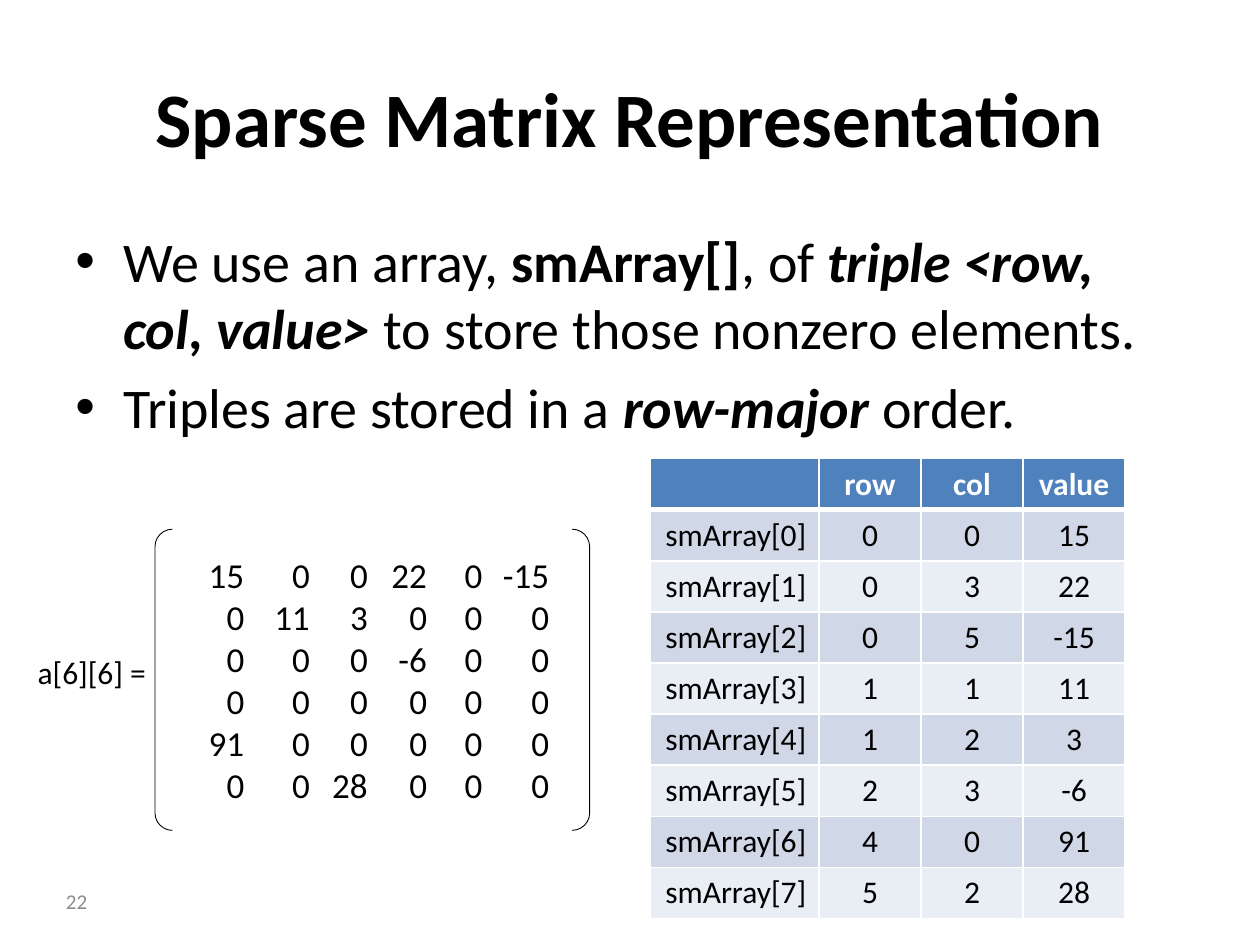
import pptx
import pptx.dml.color
import pptx.enum.shapes
import pptx.enum.text
import pptx.oxml
import pptx.oxml.ns
import pptx.util

Inches, Pt = pptx.util.Inches, pptx.util.Pt
ALIGN = pptx.enum.text.PP_ALIGN
ANCHOR = pptx.enum.text.MSO_ANCHOR
NS = pptx.oxml.ns.nsdecls("a")

MATRIX = [
    [15, 0, 0, 22, 0, -15],
    [0, 11, 3, 0, 0, 0],
    [0, 0, 0, -6, 0, 0],
    [0, 0, 0, 0, 0, 0],
    [91, 0, 0, 0, 0, 0],
    [0, 0, 28, 0, 0, 0],
]
MATRIX_TABS = [0.57, 1.09, 1.55, 2.02, 2.46, 2.99]


def color(value):
    return pptx.dml.color.RGBColor.from_string(value)


def add_xml(parent, xml):
    parent.append(pptx.oxml.parse_xml(xml))


def write(p, text, size=18, fill="000000", font="Calibri", bold=False,
          italic=False, align=None):
    """Add one formatted run to a paragraph."""
    if align is not None:
        p.alignment = align
    r = p.add_run()
    r.text = text
    f = r.font
    f.name, f.size, f.bold, f.italic = font, Pt(size), bold, italic
    f.color.rgb = color(fill)


def set_borders(cell, widths):
    """Draw white cell borders; widths gives points for each of L, R, T, B."""
    tc_pr = cell._tc.get_or_add_tcPr()
    for i, (side, width) in enumerate(zip("LRTB", widths)):
        tc_pr.insert(i, pptx.oxml.parse_xml(
            f'<a:ln{side} {NS} w="{Pt(width)}"><a:solidFill>'
            f'<a:srgbClr val="FFFFFF"/></a:solidFill></a:ln{side}>'))


class Deck:
    black, white = "000000", "FFFFFF"
    header, bands = "4F81BD", ("D0D8E8", "E9EDF4")

    def __init__(self):
        self.prs = pptx.Presentation()
        self.prs.slide_width, self.prs.slide_height = Inches(10), Inches(7.5)
        self.s = self.prs.slides.add_slide(self.prs.slide_layouts[6])

    def box(self, at, anchor=ANCHOR.TOP):
        sp = self.s.shapes.add_textbox(*map(Inches, at))
        tf = sp.text_frame
        tf.word_wrap = True
        tf.vertical_anchor = anchor
        return tf

    def text(self, at, text, anchor=ANCHOR.TOP, **fmt):
        write(self.box(at, anchor).paragraphs[0], text, **fmt)

    def bullets(self, at, items, size):
        tf = self.box(at)
        for i, runs in enumerate(items):
            p = tf.add_paragraph() if i else tf.paragraphs[0]
            pPr = p._p.get_or_add_pPr()
            pPr.set("marL", str(Inches(0.38)))
            pPr.set("indent", str(Inches(-0.38)))
            add_xml(pPr, f'<a:buFont {NS} typeface="Arial"/>')
            add_xml(pPr, f'<a:buChar {NS} char="•"/>')
            if i:
                p.space_before = Pt(0.2 * size)
            for text, fmt in runs:
                write(p, text, size=size, **fmt)

    def matrix(self, at, rows, tabs):
        """Bracketed number grid with columns on right-aligned tab stops."""
        sp = self.s.shapes.add_shape(
            pptx.enum.shapes.MSO_SHAPE.DOUBLE_BRACKET, *map(Inches, at))
        sp.adjustments[0] = 0.058
        sp.shadow.inherit = False
        sp.fill.background()
        sp.line.color.rgb = color(self.black)
        sp.line.width = Pt(0.5)
        tf = sp.text_frame
        tf.word_wrap = True
        tf.vertical_anchor = ANCHOR.MIDDLE
        stops = "".join(f'<a:tab pos="{Inches(t)}" algn="r"/>' for t in tabs)
        for i, row in enumerate(rows):
            p = tf.add_paragraph() if i else tf.paragraphs[0]
            add_xml(p._p.get_or_add_pPr(), f"<a:tabLst {NS}>{stops}</a:tabLst>")
            write(p, "".join(f"\t{n}" for n in row), size=20, align=ALIGN.LEFT)

    def table(self, at, widths, rows):
        t = self.s.shapes.add_table(
            len(rows), len(widths), *map(Inches, at)).table
        for col, width in zip(t.columns, widths):
            col.width = Inches(width)
        for i, row in enumerate(rows):
            t.rows[i].height = Inches(at[3] / len(rows))
            for j, value in enumerate(row):
                cell = t.cell(i, j)
                cell.fill.solid()
                cell.fill.fore_color.rgb = color(
                    self.bands[(i - 1) % 2] if i else self.header)
                set_borders(cell, (1, 1, 3 if i == 1 else 1, 1 if i else 3))
                cell.vertical_anchor = ANCHOR.MIDDLE if j else ANCHOR.TOP
                if value != "":
                    write(cell.text_frame.paragraphs[0], str(value),
                          fill=self.black if i else self.white, bold=not i,
                          align=ALIGN.CENTER if j else ALIGN.RIGHT)


def main():
    deck = Deck()
    deck.text((0.5, 0.3, 9, 1.25), "Sparse Matrix Representation",
              anchor=ANCHOR.MIDDLE, size=44, bold=True, align=ALIGN.CENTER)

    plain, bold = {}, {"bold": True}
    strong = {"bold": True, "italic": True}
    deck.bullets((0.5, 1.75, 9, 1.85), [
        [("We use an array, ", plain), ("smArray[]", bold), (", of ", plain),
         ("triple <row, col, value>", strong),
         (" to store those nonzero elements.", plain)],
        [("Triples are stored in a ", plain), ("row-major", strong),
         (" order.", plain)],
    ], size=32)

    deck.matrix((1.23, 4.2, 3.45, 2.39), MATRIX, MATRIX_TABS)
    deck.text((0.2, 5.13, 1.1, 0.4), "a[6][6] =")

    triples = [(i, j, n) for i, row in enumerate(MATRIX)
               for j, n in enumerate(row) if n]
    deck.table((5.16, 3.64, 3.77, 3.65), [1.34, 0.81, 0.81, 0.81],
               [("", "row", "col", "value")]
               + [(f"smArray[{k}]", *t) for k, t in enumerate(triples)])

    deck.text((0.2, 6.95, 0.59, 0.4), "22", anchor=ANCHOR.MIDDLE, size=12,
              fill="8C8C8C", align=ALIGN.RIGHT)
    deck.prs.save("out.pptx")


if __name__ == "__main__":
    main()
